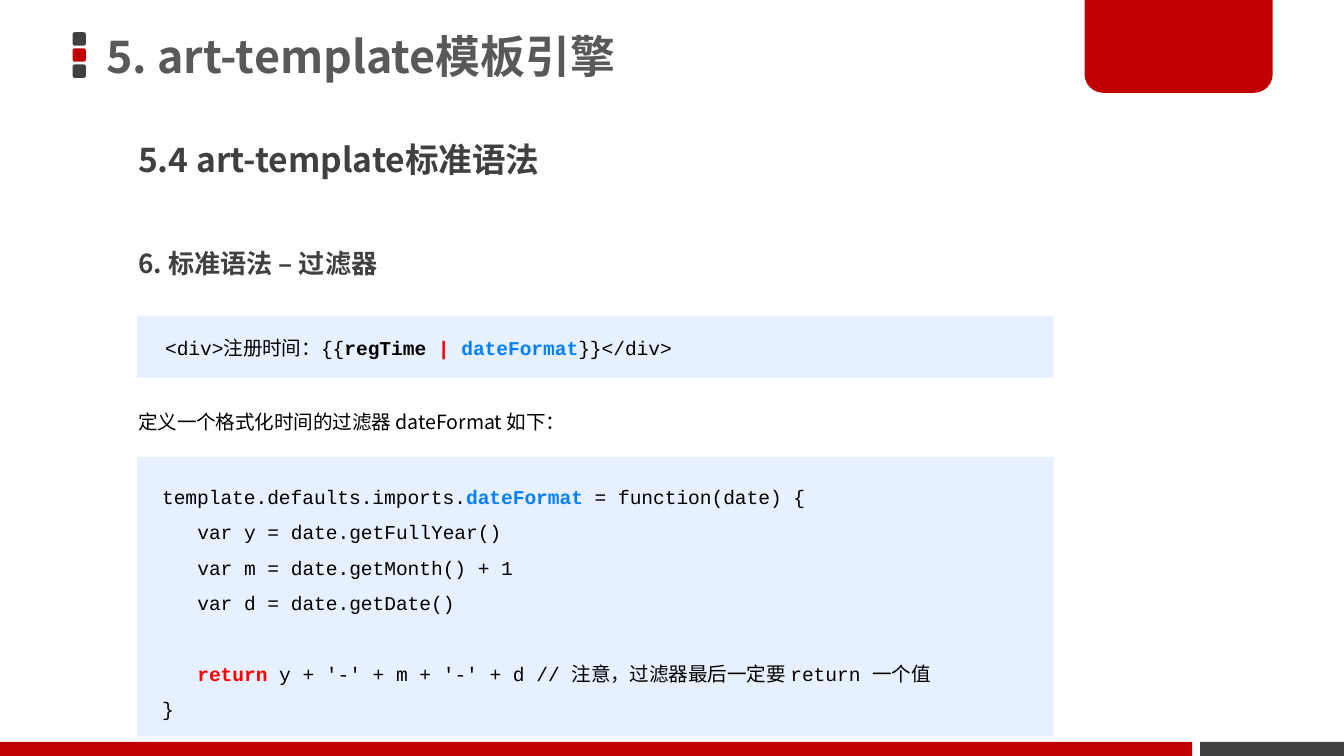
from pptx import Presentation
from pptx.dml.color import RGBColor
from pptx.enum.shapes import MSO_SHAPE
from pptx.enum.text import MSO_ANCHOR, MSO_AUTO_SIZE, PP_ALIGN
from pptx.oxml.ns import qn
from pptx.util import Inches, Pt
from lxml import etree

RECT = MSO_SHAPE.RECTANGLE
ROUND = MSO_SHAPE.ROUNDED_RECTANGLE
TAB = MSO_SHAPE.ROUND_2_SAME_RECTANGLE
TOP, MIDDLE = MSO_ANCHOR.TOP, MSO_ANCHOR.MIDDLE
LEFT = PP_ALIGN.LEFT
FIXED = MSO_AUTO_SIZE.NONE

COLS, ROWS = 100, 56.25
UNIT = Inches(10) / COLS
SANS, MONO = "Noto Sans CJK SC", "Courier New"
RED, DARK, GRAY, PALE = "C00000", "404040", "595959", "E6F0FF"
BLACK, BLUE, ALERT = "000000", "047FFD", "FF0000"
CODE = 10.5
CHAR = CODE * 0.6
LINE = 19


def color(code):
    """Turn a hex string into a colour."""
    return RGBColor.from_string(code)


def grid(*cells):
    """Turn grid units into lengths."""
    return [round(cell * UNIT) for cell in cells]


def block(slide, kind, box, fill, *turns):
    """Add a plain filled shape with its adjustments."""
    shape = slide.shapes.add_shape(kind, *grid(*box))
    shape.shadow.inherit = False
    shape.fill.solid()
    shape.fill.fore_color.rgb = color(fill)
    shape.line.fill.background()
    for i, turn in enumerate(turns):
        shape.adjustments[i] = turn
    return shape


def label(slide, box):
    """Add an empty text box."""
    return slide.shapes.add_textbox(*grid(*box))


def style(run, size, font, tint, bold):
    """Format one run, with a sans face for Chinese."""
    run.font.size = Pt(size)
    run.font.name = font
    run.font.bold = bold
    run.font.color.rgb = color(tint)
    east = etree.SubElement(run.font._element, qn("a:ea"))
    east.set("typeface", SANS)


def write(shape, lines, size=CODE, font=SANS, tint=BLACK, bold=False,
          lead=0.9, before=0, anchor=TOP):
    """Fill a shape with lines of (indent, space before, runs)."""
    frame = shape.text_frame
    frame.word_wrap = True
    frame.auto_size = FIXED
    frame.vertical_anchor = anchor
    for i, (indent, gap, runs) in enumerate(lines):
        para = frame.add_paragraph() if i else frame.paragraphs[0]
        para.alignment = LEFT
        para.line_spacing = lead
        para.space_before = Pt(before + gap)
        para._p.get_or_add_pPr().set("marL", str(Pt(indent * CHAR)))
        for text, *form in runs:
            run = para.add_run()
            run.text = text
            style(run, size, font, *(form or (tint, bold)))


def plain(text):
    """Wrap one string as a single line."""
    return [(0, 0, [(text,)])]


def frame(slide):
    """Draw the marks, tab and footer bars."""
    for i, fill in enumerate((DARK, RED, DARK)):
        block(slide, ROUND, (5.4, 2.4 + 1.2 * i, 1, 1), fill, 0.17)
    block(slide, TAB, (80.7, 0, 14, 6.9), RED, 0, 0.2)
    block(slide, RECT, (0, 55.2, 88.7, 1.05), RED)
    block(slide, RECT, (89.3, 55.2, 10.7, 1.05), DARK)


def head(slide, text):
    """Place and fill the title."""
    title = slide.shapes.title
    title.left, title.top, title.width, title.height = grid(6.9, 0, 73.7, 8.7)
    write(title, plain(text), size=24, tint=GRAY, bold=True, anchor=MIDDLE)


def main():
    """Build the slide and save it."""
    deck = Presentation()
    deck.slide_width, deck.slide_height = grid(COLS, ROWS)
    slide = deck.slides.add_slide(deck.slide_layouts[5])
    frame(slide)
    head(slide, "5. art-template模板引擎")
    write(label(slide, (9.3, 10.2, 71.3, 5.9)),
          plain("5.4 art-template标准语法"),
          size=18, tint=DARK, bold=True, before=7.5)
    write(label(slide, (9.3, 18.2, 71, 3.1)),
          plain("6. 标准语法 – 过滤器"),
          size=14, tint=DARK, bold=True, before=7.5)

    block(slide, RECT, (10.2, 23.5, 68.2, 4.6), PALE)
    usage = [(0, 0, [("<div>注册时间：{{",), ("regTime ", BLACK, True),
                     ("| ", ALERT, True), ("dateFormat", BLUE, True),
                     ("}}</div>",)])]
    write(label(slide, (11.3, 23.6, 69.2, 3.4)), usage, font=MONO, lead=1.5)
    write(label(slide, (9.3, 29.1, 71.3, 6.2)),
          plain("定义一个格式化时间的过滤器 dateFormat 如下："),
          lead=1.5, before=7.5)

    code = [
        (1, 0, [("template.defaults.imports.",), ("dateFormat", BLUE, True),
                (" = function(date) {",)]),
        (4, 0, [("var y = date.getFullYear()",)]),
        (4, 0, [("var m = date.getMonth() + 1",)]),
        (4, 0, [("var d = date.getDate()",)]),
        (4, LINE, [("return", ALERT, True),
                   (" y + '-' + m + '-' + d // 注意，过滤器最后一定要 return 一个值",)]),
        (1, 0, [("}",)]),
    ]
    panel = block(slide, RECT, (10.2, 34, 68.2, 20.8), PALE)
    write(panel, code, font=MONO, lead=1.5, anchor=MIDDLE)
    deck.save("out.pptx")


if __name__ == "__main__":
    main()
